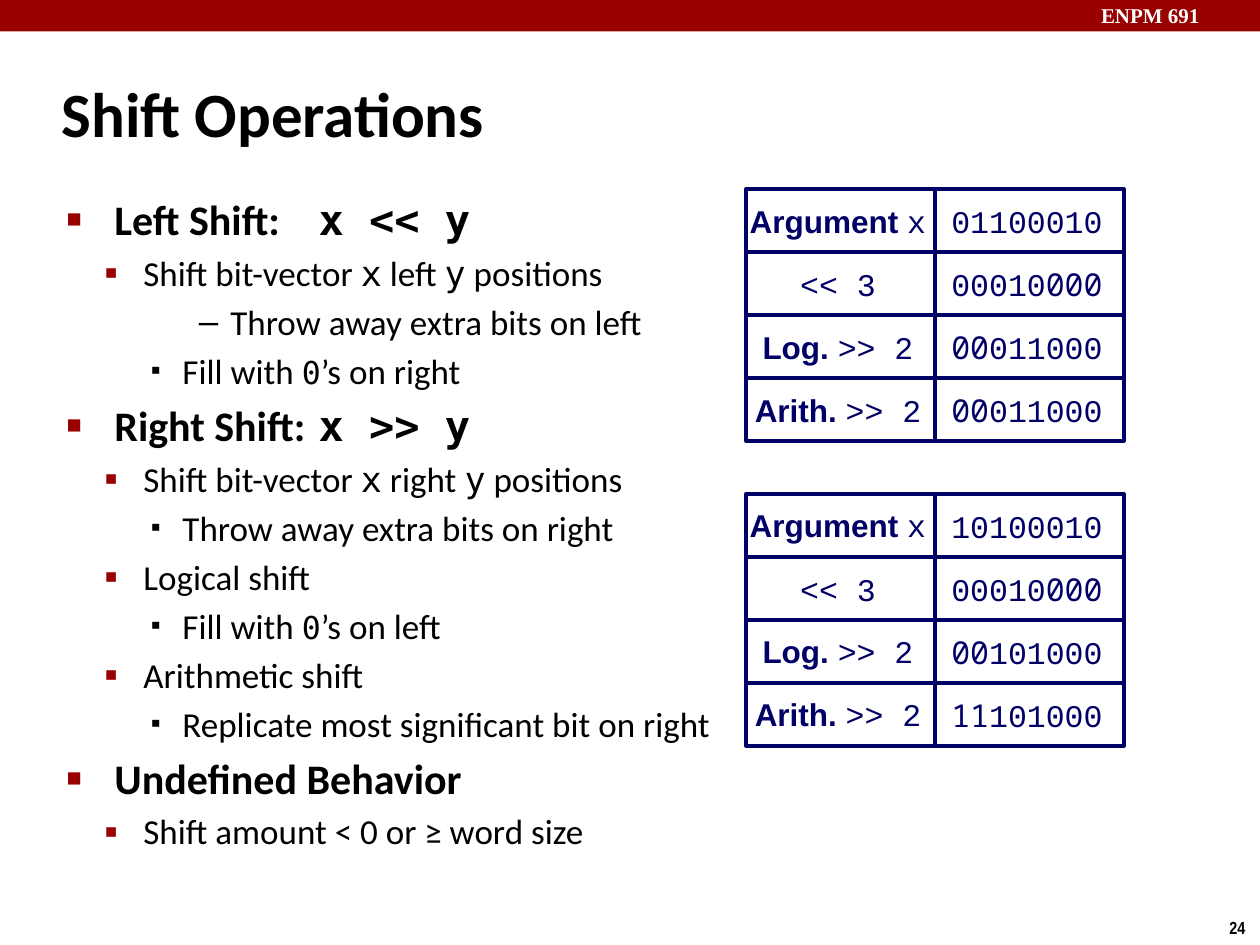
"""Build the Shift Operations slide with its outline and two grids of bit patterns."""
import lxml.etree
import pptx
import pptx.dml.color
import pptx.enum.shapes
import pptx.enum.text
import pptx.oxml.ns
import pptx.util

RED, NAVY, BLACK, WHITE = "990000", "000066", "000000", "FFFFFF"
CODE, ZEROS = "DejaVu Sans Mono", "Noto Sans Mono"
COURIER, ARIAL, CALIBRI = "Courier New", "Arial", "Calibri"

# Text between backticks is set as code.
OUTLINE = [
    ("topic", "Left Shift: \t`x << y`"),
    ("point", "Shift bit-vector `x` left `y` positions"),
    ("dash", "Throw away extra bits on left"),
    ("detail", "Fill with `0`’s on right"),
    ("topic", "Right Shift: \t`x >> y`"),
    ("point", "Shift bit-vector `x` right `y` positions"),
    ("detail", "Throw away extra bits on right"),
    ("point", "Logical shift"),
    ("detail", "Fill with `0`’s on left"),
    ("point", "Arithmetic shift"),
    ("detail", "Replicate most significant bit on right"),
    ("topic", "Undefined Behavior"),
    ("point", "Shift amount < 0 or ≥ word size"),
]
LEVELS = {
    "topic": dict(level=0, margin=0.38, hang=0.38, size=24, bullet="■", colour=RED, scale=60),
    "point": dict(level=1, margin=0.61, hang=0.31, size=20, bullet="▪", colour=RED, scale=110),
    "detail": dict(level=2, margin=0.92, hang=0.25, size=20, bullet="▪", colour=BLACK, scale=80),
    "dash": dict(level=3, margin=1.3, hang=0.25, size=20, bullet="–", colour=BLACK, scale=100),
}

# Each operation carries the width and height of its label.
OPERATIONS = [
    ([("Argument ", ARIAL), ("x", COURIER)], 1.57, 0.44),
    ([("<< 3", COURIER)], 0.77, 0.39),
    ([("Log. ", ARIAL), (">> 2", COURIER)], 1.37, 0.44),
    ([("Arith. ", ARIAL), (">> 2", COURIER)], 1.49, 0.44),
]
RESULTS = [
    (1.5, [[("01100010", COURIER)],
           [("00010", COURIER), ("000", ZEROS)],
           [("00", ZEROS), ("011000", COURIER)],
           [("00", ZEROS), ("011000", COURIER)]]),
    (3.92, [[("10100010", COURIER)],
            [("00010", COURIER), ("000", ZEROS)],
            [("00", ZEROS), ("101000", COURIER)],
            [("11", ZEROS), ("101000", COURIER)]]),
]
BITS_WIDTH, BITS_HEIGHT = 1.37, 0.39
GRID_LEFT, COLUMN, ROW = 5.92, 1.5, 0.5


def rgb(colour):
    return pptx.dml.color.RGBColor.from_string(colour)


def add_run(paragraph, text, font, size, colour, bold=False):
    run = paragraph.add_run()
    run.text = text
    run.font.name, run.font.size, run.font.bold = font, pptx.util.Pt(size), bold
    run.font.color.rgb = rgb(colour)


def add_child(parent, tag, **attributes):
    return lxml.etree.SubElement(parent, pptx.oxml.ns.qn(tag), attributes)


def add_text(slide, box, wrap=True):
    frame = slide.shapes.add_textbox(*map(pptx.util.Inches, box)).text_frame
    frame.word_wrap = wrap
    return frame


def add_rectangle(slide, box, fill, outline=None):
    rectangle = slide.shapes.add_shape(pptx.enum.shapes.MSO_SHAPE.RECTANGLE,
                                       *map(pptx.util.Inches, box))
    rectangle.shadow.inherit = False
    rectangle.fill.solid()
    rectangle.fill.fore_color.rgb = rgb(fill)
    if outline:
        rectangle.line.color.rgb = rgb(outline)
        rectangle.line.width = pptx.util.Pt(2)
    else:
        rectangle.line.fill.background()


def add_outline(slide):
    frame = add_text(slide, (0.43, 1.49, 8.64, 5.44))
    for index, (kind, text) in enumerate(OUTLINE):
        style = LEVELS[kind]
        paragraph = frame.add_paragraph() if index else frame.paragraphs[0]
        paragraph.level = style["level"]
        if index:
            paragraph.space_before = pptx.util.Pt(style["size"] * 0.2)
        properties = paragraph._p.get_or_add_pPr()
        properties.set("marL", str(pptx.util.Inches(style["margin"])))
        properties.set("indent", str(-pptx.util.Inches(style["hang"])))
        add_child(add_child(properties, "a:buClr"), "a:srgbClr", val=style["colour"])
        add_child(properties, "a:buSzPct", val=str(style["scale"] * 1000))
        add_child(properties, "a:buFont", typeface=ARIAL)
        add_child(properties, "a:buChar", char=style["bullet"])
        for part, words in enumerate(text.split("`")):
            if words:
                is_code = part % 2 == 1
                size = 18 if is_code and kind == "detail" else style["size"]
                add_run(paragraph, words, CODE if is_code else CALIBRI, size, BLACK, kind == "topic")


def add_cell(slide, left, top, pieces, width, height):
    add_rectangle(slide, (left, top, COLUMN, ROW), WHITE, NAVY)
    label = add_text(slide, (left + (COLUMN - width) / 2, top + (ROW - height) / 2, width, height),
                     wrap=False)
    label.auto_size = pptx.enum.text.MSO_AUTO_SIZE.SHAPE_TO_FIT_TEXT
    label.vertical_anchor = pptx.enum.text.MSO_ANCHOR.MIDDLE
    label.margin_left = label.margin_top = label.margin_bottom = pptx.util.Inches(0.06)
    label.margin_right = pptx.util.Inches(0.1)
    paragraph = label.paragraphs[0]
    paragraph.alignment = pptx.enum.text.PP_ALIGN.CENTER
    for text, font in pieces:
        add_run(paragraph, text, font, 18, NAVY, font == ARIAL)


def add_bit_grid(slide, grid_top, results):
    for row, (operation, bits) in enumerate(zip(OPERATIONS, results)):
        top = grid_top + row * ROW
        add_cell(slide, GRID_LEFT, top, *operation)
        add_cell(slide, GRID_LEFT + COLUMN, top, bits, BITS_WIDTH, BITS_HEIGHT)


def main():
    deck = pptx.Presentation()
    deck.slide_width, deck.slide_height = pptx.util.Inches(10), pptx.util.Inches(7.5)
    slide = deck.slides.add_slide(deck.slide_layouts[6])

    add_rectangle(slide, (0, 0, 10, 0.25), RED)
    course = add_text(slide, (8.64, -0.03, 1.43, 0.3))
    add_run(course.paragraphs[0], "ENPM 691", "Times New Roman", 12, WHITE, True)
    number = add_text(slide, (9.66, 7.23, 0.34, 0.27), wrap=False)
    add_run(number.paragraphs[0], "24", "Arial Narrow", 10, BLACK, True)
    title = add_text(slide, (0.39, 0.48, 8.3, 0.83))
    title.vertical_anchor = pptx.enum.text.MSO_ANCHOR.MIDDLE
    add_run(title.paragraphs[0], "Shift Operations", CALIBRI, 36, BLACK, True)

    add_outline(slide)
    for grid_top, results in RESULTS:
        add_bit_grid(slide, grid_top, results)
    deck.save("out.pptx")


if __name__ == "__main__":
    main()
